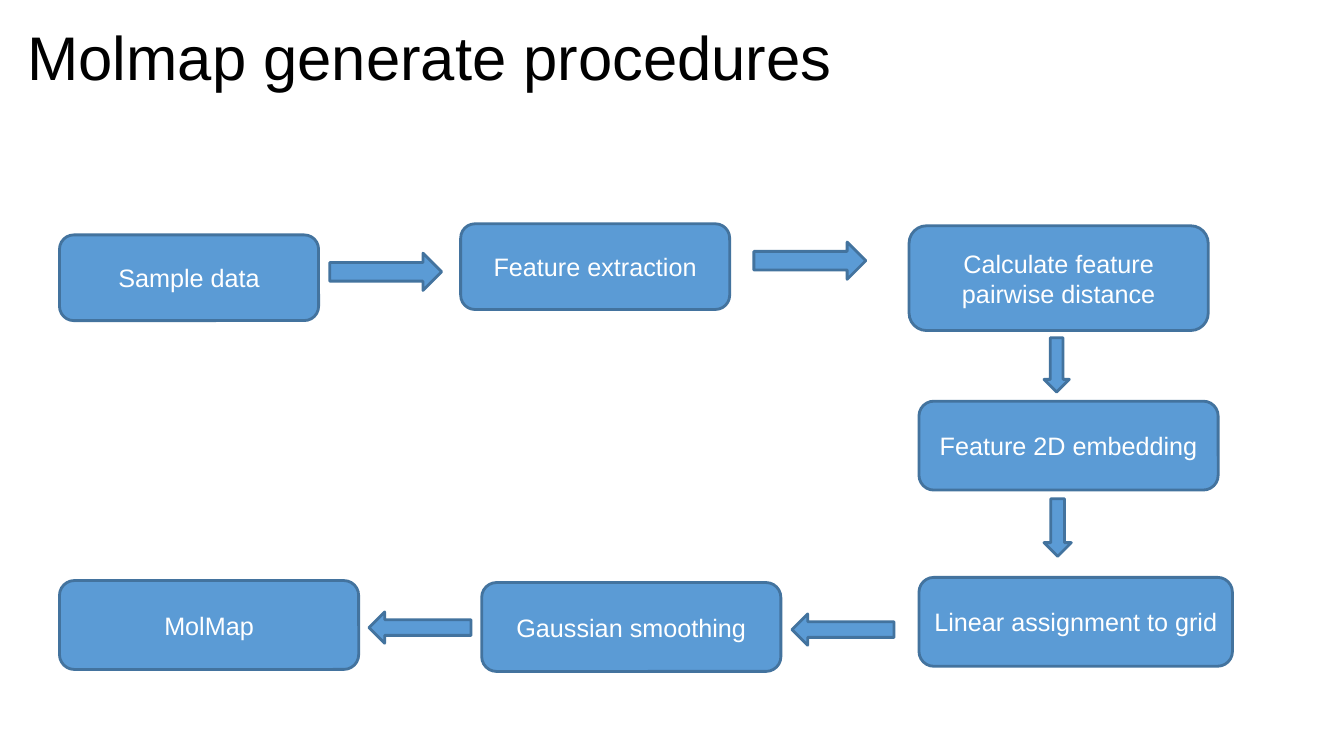
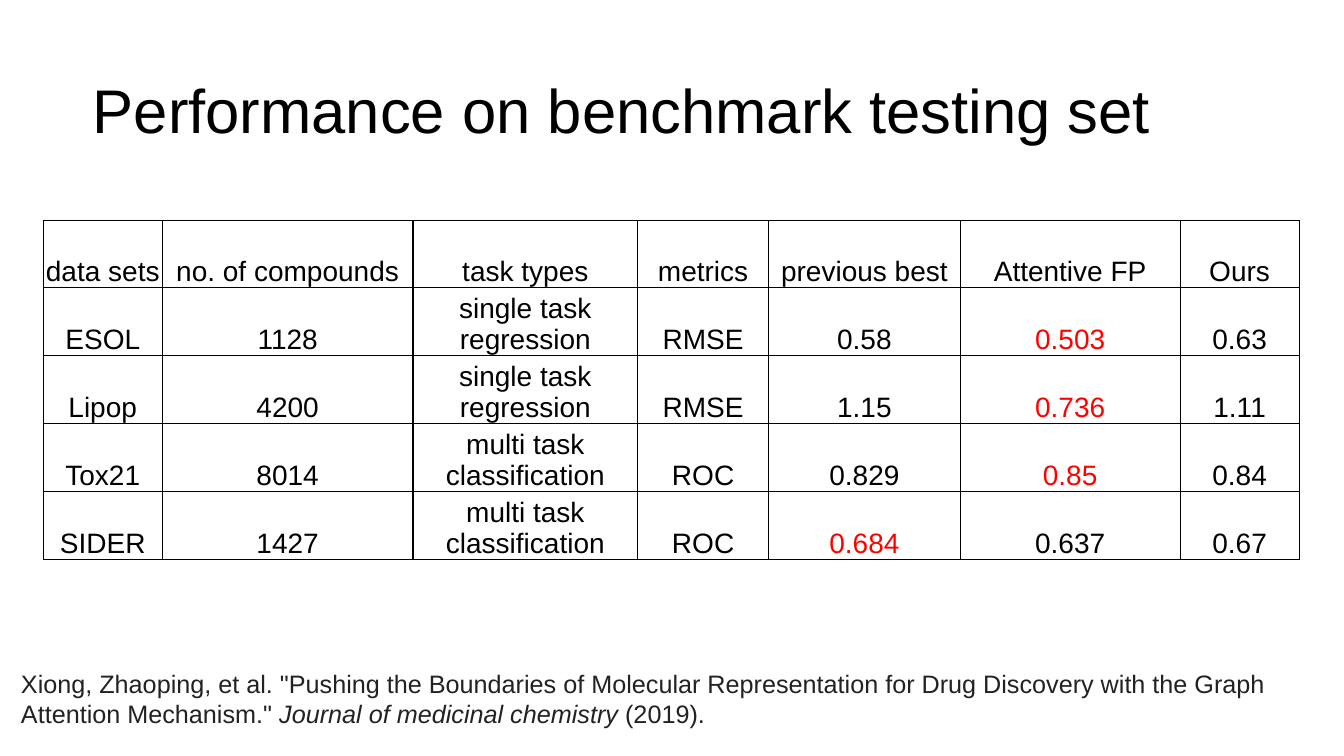
import pptx
import pptx.dml.color
import pptx.enum.shapes
import pptx.enum.text
import pptx.oxml
import pptx.oxml.ns
import pptx.util

Cm = pptx.util.Cm
Pt = pptx.util.Pt
RGBColor = pptx.dml.color.RGBColor
MSO_SHAPE = pptx.enum.shapes.MSO_SHAPE
MSO_ANCHOR = pptx.enum.text.MSO_ANCHOR
MSO_AUTO_SIZE = pptx.enum.text.MSO_AUTO_SIZE
PP_ALIGN = pptx.enum.text.PP_ALIGN

FONT = "Arial"
BLACK = RGBColor(0x00, 0x00, 0x00)
WHITE = RGBColor(0xFF, 0xFF, 0xFF)
BLUE = RGBColor(0x5B, 0x9B, 0xD5)
DARK_BLUE = RGBColor(0x43, 0x73, 0x9E)
RED = RGBColor(0xFF, 0x00, 0x00)
GREY = RGBColor(0x22, 0x22, 0x22)

STEPS = [
    ("Sample data", 1.5, 5.92, 6.53, 2.16),
    ("Feature extraction", 11.61, 5.64, 6.78, 2.16),
    ("Calculate feature pairwise distance", 22.91, 5.69, 7.54, 2.64),
    ("Feature 2D embedding", 23.16, 10.11, 7.54, 2.24),
    ("Linear assignment to grid", 23.16, 14.55, 7.9, 2.24),
    ("Gaussian smoothing", 12.14, 14.68, 7.54, 2.24),
    ("MolMap", 1.5, 14.63, 7.54, 2.24),
]
ARROWS = [
    (MSO_SHAPE.RIGHT_ARROW, 8.31, 6.38, 2.82, 0.94),
    (MSO_SHAPE.RIGHT_ARROW, 19, 6.1, 2.82, 0.94),
    (MSO_SHAPE.DOWN_ARROW, 26.31, 8.51, 0.64, 1.37),
    (MSO_SHAPE.DOWN_ARROW, 26.31, 12.57, 0.69, 1.45),
    (MSO_SHAPE.LEFT_ARROW, 19.96, 15.47, 2.57, 0.79),
    (MSO_SHAPE.LEFT_ARROW, 9.3, 15.42, 2.57, 0.79),
]
HEADER = ["data sets", "no. of compounds", "task types", "metrics",
          "previous best", "Attentive FP", "Ours"]
RESULTS = [
    ["ESOL", "1128", "single task regression", "RMSE", "0.58", "0.503", "0.63"],
    ["Lipop", "4200", "single task regression", "RMSE", "1.15", "0.736", "1.11"],
    ["Tox21", "8014", "multi task classification", "ROC", "0.829", "0.85", "0.84"],
    ["SIDER", "1427", "multi task classification", "ROC", "0.684", "0.637", "0.67"],
]
COL_WIDTHS = [3, 6.32, 5.66, 3.3, 4.83, 5.54, 3]
ROW_HEIGHT = 1.68


class Deck:
    """Holds the shared style and the current slide."""

    def __init__(self):
        self.prs = pptx.Presentation()
        self.prs.slide_width = Cm(33.87)
        self.prs.slide_height = Cm(19.05)
        self.s = None

    def new_slide(self):
        self.s = self.prs.slides.add_slide(self.prs.slide_layouts[6])

    def add_run(self, p, text, size, color, italic=False):
        r = p.add_run()
        r.text = text
        r.font.name = FONT
        r.font.size = Pt(size)
        r.font.color.rgb = color
        r.font.italic = italic

    def text_box(self, x, y, w, h):
        tf = self.s.shapes.add_textbox(Cm(x), Cm(y), Cm(w), Cm(h)).text_frame
        tf.word_wrap = True
        return tf

    def title(self, text, x, y, w, h):
        tf = self.text_box(x, y, w, h)
        tf.vertical_anchor = MSO_ANCHOR.MIDDLE
        tf.margin_left = tf.margin_right = tf.margin_top = tf.margin_bottom = 0
        p = tf.paragraphs[0]
        p.line_spacing = 0.9
        self.add_run(p, text, 44, BLACK)

    def shape(self, kind, x, y, w, h):
        sp = self.s.shapes.add_shape(kind, Cm(x), Cm(y), Cm(w), Cm(h))
        sp.shadow.inherit = False
        sp.fill.solid()
        sp.fill.fore_color.rgb = BLUE
        sp.line.color.rgb = DARK_BLUE
        sp.line.width = Pt(2)
        return sp

    def step(self, text, x, y, w, h):
        tf = self.shape(MSO_SHAPE.ROUNDED_RECTANGLE, x, y, w, h).text_frame
        tf.word_wrap = True
        tf.vertical_anchor = MSO_ANCHOR.MIDDLE
        p = tf.paragraphs[0]
        p.alignment = PP_ALIGN.CENTER
        self.add_run(p, text, 18, WHITE)

    def border(self, cell):
        tc_pr = cell._tc.get_or_add_tcPr()
        for side in "LRTB":
            tc_pr.append(pptx.oxml.parse_xml(
                f'<a:ln{side} {pptx.oxml.ns.nsdecls("a")} w="12700"><a:solidFill>'
                f'<a:srgbClr val="{BLACK}"/></a:solidFill></a:ln{side}>'))

    def cell(self, cell, text, color):
        self.border(cell)
        cell.fill.background()
        cell.vertical_anchor = MSO_ANCHOR.BOTTOM
        cell.margin_left = cell.margin_right = cell.margin_top = Cm(0.02)
        cell.margin_bottom = 0
        p = cell.text_frame.paragraphs[0]
        p.alignment = PP_ALIGN.CENTER
        self.add_run(p, text, 20, color)

    def results_table(self, x, y):
        rows = [HEADER] + RESULTS
        table = self.s.shapes.add_table(
            len(rows), len(HEADER), Cm(x), Cm(y),
            Cm(sum(COL_WIDTHS)), Cm(ROW_HEIGHT * len(rows))).table
        table.first_row = table.horz_banding = False
        for col, width in zip(table.columns, COL_WIDTHS):
            col.width = Cm(width)
        for i, row in enumerate(rows):
            table.rows[i].height = Cm(ROW_HEIGHT)
            best = None
            if i:
                pick = min if row[3] == "RMSE" else max
                best = pick(row[4:], key=float)
            for j, text in enumerate(row):
                self.cell(table.cell(i, j), text, RED if text == best else BLACK)

    def citation(self, before, journal, after, x, y, w, h):
        tf = self.text_box(x, y, w, h)
        tf.auto_size = MSO_AUTO_SIZE.SHAPE_TO_FIT_TEXT
        p = tf.paragraphs[0]
        self.add_run(p, before, 18, GREY)
        self.add_run(p, journal, 18, GREY, italic=True)
        self.add_run(p, after, 18, GREY)


def main():
    deck = Deck()

    deck.new_slide()
    deck.title("Molmap generate procedures", 0.69, 0.38, 29.21, 2.29)
    for step in STEPS:
        deck.step(*step)
    for arrow in ARROWS:
        deck.shape(*arrow)

    deck.new_slide()
    deck.title("Performance on benchmark testing set", 2.34, 1.02, 29.21, 3.68)
    deck.results_table(1.09, 5.56)
    deck.citation(
        'Xiong, Zhaoping, et al. "Pushing the Boundaries of Molecular Representation '
        'for Drug Discovery with the Graph Attention Mechanism." ',
        "Journal of medicinal chemistry", " (2019).", 0.28, 16.71, 32.41, 1.8)

    deck.prs.save("out.pptx")


if __name__ == "__main__":
    main()
